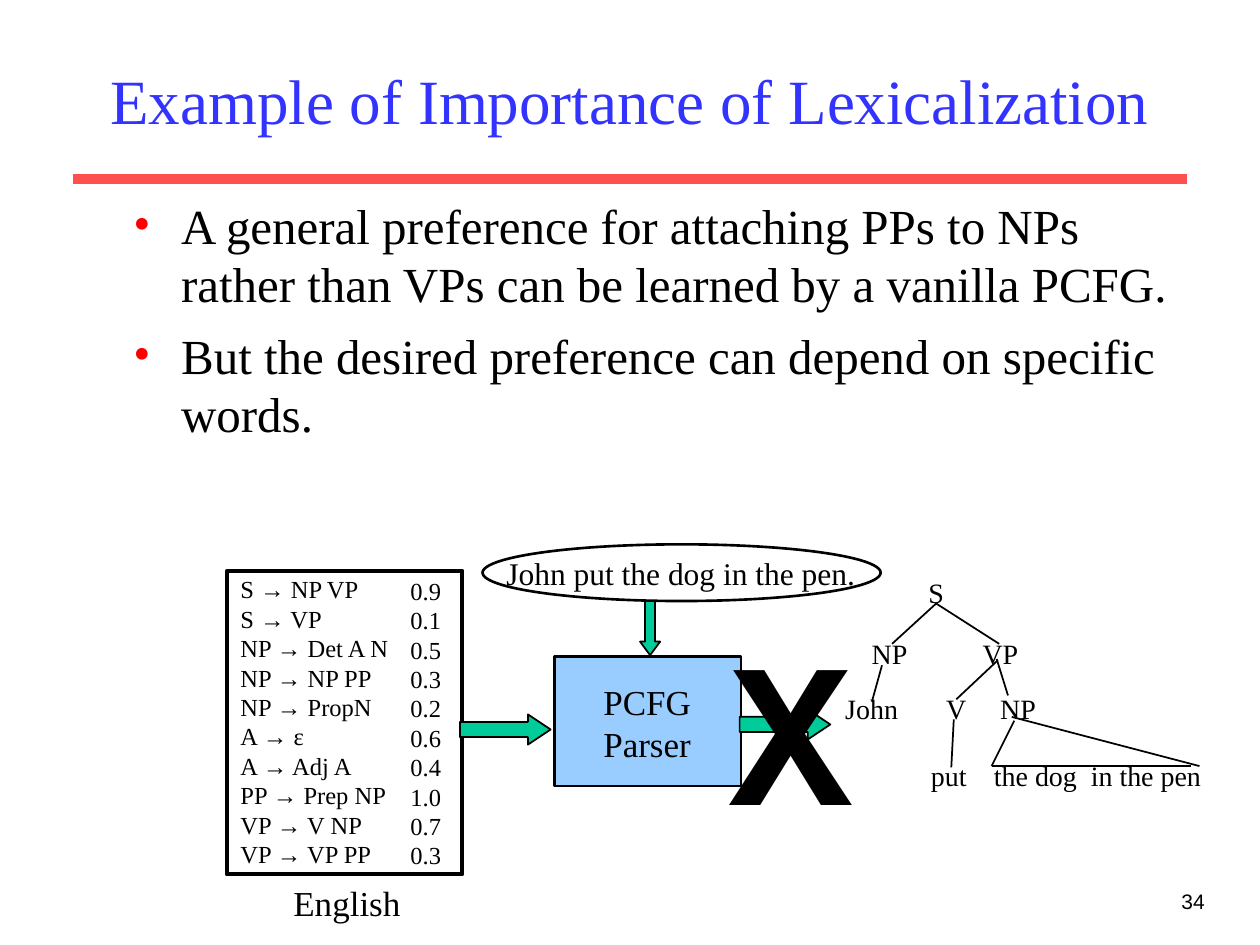
import pptx
import pptx.util
import pptx.dml.color
import pptx.enum.shapes
import pptx.enum.text
import pptx.oxml.ns
import lxml.etree

COLORS = {"title": "3333FF", "text": "000000", "rule": "FF5050", "bullet": "FF0000",
          "box": "99CCFF", "arrow": "00CC99"}
SERIF = "Times New Roman"
SHAPE = pptx.enum.shapes.MSO_SHAPE
ALIGN = pptx.enum.text.PP_ALIGN
COLS, ROWS = 100, 75


def rgb(name):
    return pptx.dml.color.RGBColor.from_string(COLORS[name])


def add_xml(parent, tag, **attrs):
    return lxml.etree.SubElement(parent, pptx.oxml.ns.qn(tag), attrs)


class Deck:
    def __init__(self):
        self.prs = pptx.Presentation()
        self.prs.slide_width = pptx.util.Inches(10)
        self.prs.slide_height = pptx.util.Inches(7.5)
        self.s = self.prs.slides.add_slide(self.prs.slide_layouts[6])

    def x(self, col):
        return round(self.prs.slide_width * col / COLS)

    def y(self, row):
        return round(self.prs.slide_height * row / ROWS)

    def area(self, left, top, width, height):
        return self.x(left), self.y(top), self.x(width), self.y(height)

    def text(self, area, lines, size, font=SERIF, color="text", bold=False, align=ALIGN.LEFT,
             frame=None, bullets=False):
        tf = self.s.shapes.add_textbox(*self.area(*area)).text_frame
        fit = {"word_wrap": False, "auto_size": pptx.enum.text.MSO_AUTO_SIZE.SHAPE_TO_FIT_TEXT}
        for name, value in (frame or fit).items():
            setattr(tf, name, value)
        for i, line in enumerate(lines):
            p = tf.add_paragraph() if i else tf.paragraphs[0]
            p.alignment = align
            if bullets:
                self.bullet(p)
                if i:
                    p.space_before = pptx.util.Pt(7)
            r = p.add_run()
            r.text = line
            style = {"name": font, "size": pptx.util.Pt(size), "bold": bold}
            for name, value in style.items():
                setattr(r.font, name, value)
            r.font.color.rgb = rgb(color)

    def bullet(self, p):
        pPr = p._p.get_or_add_pPr()
        indent = self.x(3.8)
        pPr.set("marL", str(indent))
        pPr.set("indent", str(-indent))
        add_xml(add_xml(pPr, "a:buClr"), "a:srgbClr", val=COLORS["bullet"])
        add_xml(pPr, "a:buFont", typeface=SERIF)
        add_xml(pPr, "a:buChar", char="•")

    def shape(self, kind, area, weight, fill=None, head=None):
        sp = self.s.shapes.add_shape(kind, *self.area(*area))
        sp.shadow.inherit = False
        if fill:
            sp.fill.solid()
            sp.fill.fore_color.rgb = rgb(fill)
        else:
            sp.fill.background()
        sp.line.color.rgb = rgb("text")
        sp.line.width = pptx.util.Pt(weight)
        if head:
            sp.adjustments[1] = head

    def line(self, start, end, weight=1, color="text"):
        c = self.s.shapes.add_connector(
            pptx.enum.shapes.MSO_CONNECTOR.STRAIGHT,
            self.x(start[0]), self.y(start[1]), self.x(end[0]), self.y(end[1]))
        c.line.color.rgb = rgb(color)
        c.line.width = pptx.util.Pt(weight)
        add_xml(c._element.spPr, "a:effectLst")


GRAMMAR = [
    ("S → NP VP", "0.9"), ("S → VP", "0.1"), ("NP → Det A N", "0.5"), ("NP → NP PP", "0.3"),
    ("NP → PropN", "0.2"), ("A → ε", "0.6"), ("A → Adj A", "0.4"), ("PP → Prep NP", "1.0"),
    ("VP → V NP", "0.7"), ("VP → VP PP", "0.3"),
]
TREE_LABELS = [
    (45.2, [("S", 72.7, 3.6)]),
    (50, [("NP", 68.2, 5.4), ("VP", 77, 5.4)]),
    (54.4, [("John", 66.1, 6.8), ("V", 74.1, 4.2), ("NP", 78.4, 5.4)]),
    (59.7, [("put", 72.9, 5.4), ("the dog", 77.9, 9.2), ("in the pen", 85.6, 11.6)]),
]
TREE_EDGES = [
    ((74.3, 47.9), (70.8, 51.1)), ((74.3, 47.9), (79.3, 51.1)),
    ((70, 52.8), (69.2, 55.7)), ((79.2, 52.4), (75.9, 55.5)),
    ((79.1, 52.3), (80, 55.2)), ((75.7, 57.1), (75.5, 60.9)),
    ((80.5, 57.2), (78.7, 60.8)), ((78.7, 60.8), (94.5, 60.8)),
    ((80.3, 56.9), (95.2, 60.8)),
]


def main():
    d = Deck()
    d.line((5.8, 14.2), (94.2, 14.2), 6, "rule")
    d.text((75.8, 70, 20.8, 5), ["34"], 12, "Arial", align=ALIGN.RIGHT,
           frame={"word_wrap": True})
    d.text((7.5, 2.5, 85, 10.8), ["Example of Importance of Lexicalization"], 36,
           color="title", align=ALIGN.CENTER,
           frame={"word_wrap": True, "vertical_anchor": pptx.enum.text.MSO_ANCHOR.MIDDLE})
    d.text((9.6, 15, 85, 21),
           ["A general preference for attaching PPs to NPs rather than VPs can be learned "
            "by a vanilla PCFG.",
            "But the desired preference can depend on specific words."],
           28, frame={"word_wrap": True}, bullets=True)

    rules, weights = zip(*GRAMMAR)
    d.text((18.1, 45.1, 14, 24.4), rules, 14)
    d.text((31.6, 45.2, 5, 24.4), weights, 14)
    d.shape(SHAPE.RECTANGLE, (18, 45.3, 18.7, 24.1), 2.25)
    d.text((22.3, 69.5, 10.9, 4.4), ["English"], 20)

    d.shape(SHAPE.RECTANGLE, (44, 52.1, 14.8, 10.3), 1.5, "box")
    d.text((46.9, 53.5, 9.6, 7.7), ["PCFG", "Parser"], 20)
    d.shape(SHAPE.RIGHT_ARROW, (36.5, 56.7, 7.2, 2.4), 1, "arrow", 0.75)

    for row, labels in TREE_LABELS:
        for label, col, width in labels:
            d.text((col, row, width, 3.7), [label], 16)
    for start, end in TREE_EDGES:
        d.line(start, end)

    d.shape(SHAPE.RIGHT_ARROW, (58.7, 56.3, 7.2, 2.4), 1, "arrow", 0.75)
    d.text((56.9, 47.2, 11.7, 20.5), ["X"], 117, "Courier New", bold=True)

    d.text((39.2, 43.5, 29.9, 4), ["John put the dog in the pen."], 18)
    d.shape(SHAPE.OVAL, (38.3, 43.2, 31.6, 4.5), 1.5)
    d.shape(SHAPE.DOWN_ARROW, (50.8, 47.7, 1.6, 4.3), 1, "arrow", 0.67)
    d.prs.save("out.pptx")


if __name__ == "__main__":
    main()
